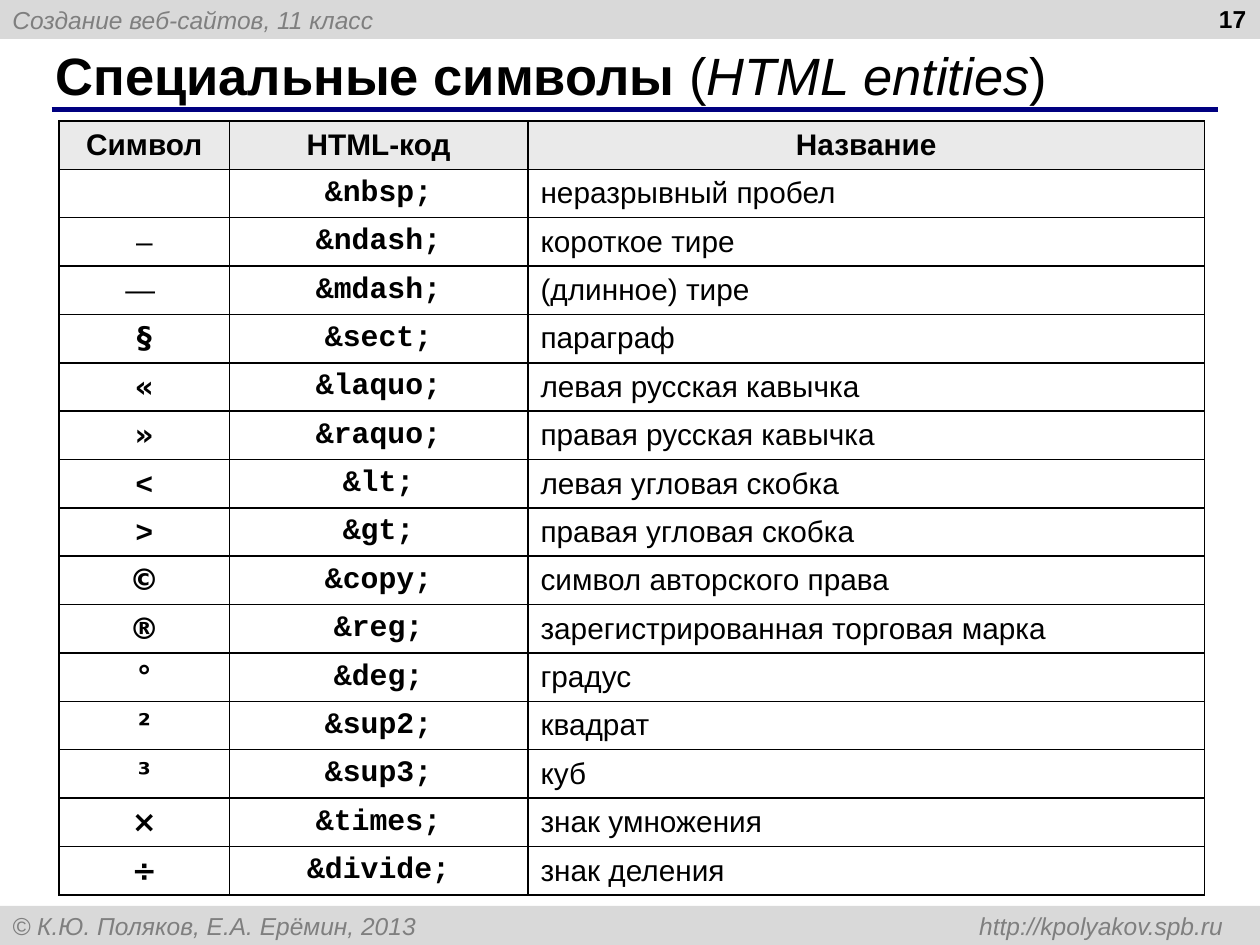
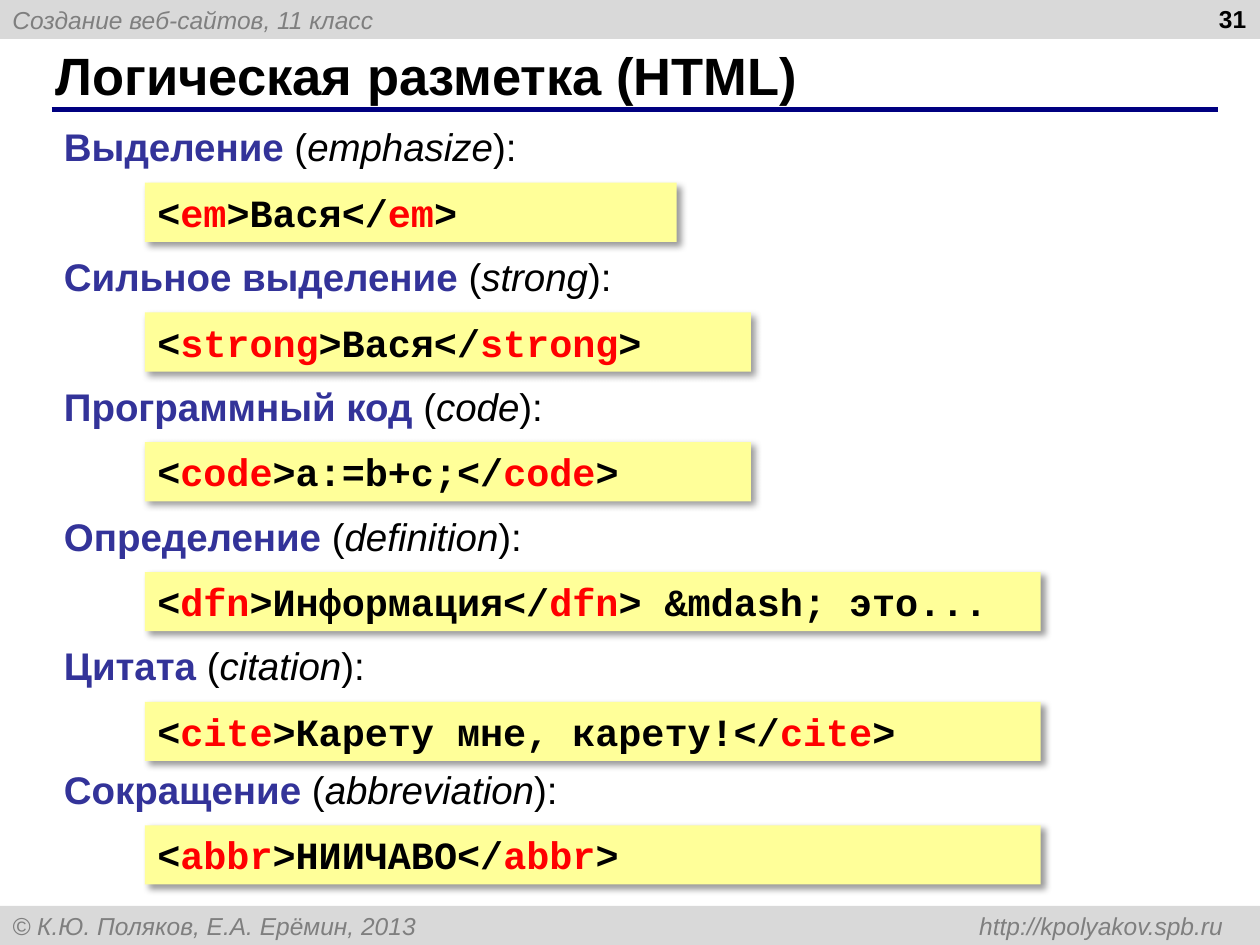
from lxml.etree import SubElement
from pptx import Presentation
from pptx.dml.color import RGBColor
from pptx.enum.shapes import MSO_CONNECTOR, MSO_SHAPE
from pptx.enum.text import MSO_ANCHOR, MSO_AUTO_SIZE, PP_ALIGN
from pptx.oxml import parse_xml
from pptx.oxml.ns import nsdecls, qn
from pptx.util import Inches, Pt

BLACK = RGBColor(0x00, 0x00, 0x00)
NAVY = RGBColor(0x00, 0x00, 0x80)
TERM_BLUE = RGBColor(0x33, 0x33, 0x99)
TAG_RED = RGBColor(0xFF, 0x00, 0x00)
BAND_GRAY = RGBColor(0xD9, 0xD9, 0xD9)
BAND_TEXT = RGBColor(0x7F, 0x7F, 0x7F)
HEADER_GRAY = RGBColor(0xEA, 0xEA, 0xEA)
CODE_YELLOW = RGBColor(0xFF, 0xFF, 0x99)

SANS = "Arial"
MONO = "Courier New"
SYMBOL = "DejaVu Sans"

TITLE_ONLY_LAYOUT = 5
BAND_HEIGHT = 0.31
TABLE_TEXT_SIZE = 17
MARKUP_TEXT_SIZE = 22
ITEM_TOP, ITEM_PITCH, LAST_ITEM_TOP = 0.93, 1.03, 6.03

COLUMN_WIDTHS = (1.35, 2.37, 5.37)
COLUMN_NAMES = ("Символ", "HTML-код", "Название")
ENTITIES = (
    ("", "nbsp", "неразрывный пробел"),
    ("–", "ndash", "короткое тире"),
    ("— ", "mdash", "(длинное) тире"),
    ("§", "sect", "параграф"),
    ("«", "laquo", "левая русская кавычка"),
    ("»", "raquo", "правая русская кавычка"),
    ("<", "lt", "левая угловая скобка"),
    (">", "gt", "правая угловая скобка"),
    ("©", "copy", "символ авторского права"),
    ("®", "reg", "зарегистрированная торговая марка"),
    ("°", "deg", "градус"),
    ("²", "sup2", "квадрат"),
    ("³", "sup3", "куб"),
    ("×", "times", "знак умножения"),
    ("÷", "divide", "знак деления"),
)

# term, English name, tag, tagged text, text after the tag, box width
MARKUP_ITEMS = (
    ("Выделение", "emphasize", "em", "Вася", "", 4.22),
    ("Сильное выделение", "strong", "strong", "Вася", "", 4.81),
    ("Программный код", "code", "code", "a:=b+c;", "", 4.81),
    ("Определение", "definition", "dfn", "Информация", " &mdash; это...", 7.11),
    ("Цитата", "citation", "cite", "Карету мне, карету!", "", 7.11),
    ("Сокращение", "abbreviation", "abbr", "НИИЧАВО", "", 7.11),
)


def write_text(paragraph, text, *, size, font=SANS, color=BLACK, bold=False, italic=False):
    """Append one formatted run to the paragraph."""
    run = paragraph.add_run()
    run.text = text
    run.font.name = font
    run.font.size = Pt(size)
    run.font.color.rgb = color
    run.font.bold = bold
    run.font.italic = italic


def place(shape, left, top, width, height):
    shape.left, shape.top = Inches(left), Inches(top)
    shape.width, shape.height = Inches(width), Inches(height)


def add_text_box(slide, left, top, width, height, align=PP_ALIGN.LEFT):
    """Add an empty text box and return its paragraph."""
    box = slide.shapes.add_textbox(Inches(left), Inches(top), Inches(width), Inches(height))
    box.text_frame.word_wrap = True
    paragraph = box.text_frame.paragraphs[0]
    paragraph.alignment = align
    return paragraph


def add_rectangle(slide, left, top, width, height, fill, anchor):
    shape = slide.shapes.add_shape(
        MSO_SHAPE.RECTANGLE, Inches(left), Inches(top), Inches(width), Inches(height))
    shape.shadow.inherit = False
    shape.fill.solid()
    shape.fill.fore_color.rgb = fill
    shape.line.fill.background()
    shape.text_frame.vertical_anchor = anchor
    shape.text_frame.paragraphs[0].alignment = PP_ALIGN.LEFT
    return shape


def add_band(slide, top, text):
    band = add_rectangle(slide, 0, top, 10, BAND_HEIGHT, BAND_GRAY, MSO_ANCHOR.MIDDLE)
    paragraph = band.text_frame.paragraphs[0]
    tabs = SubElement(paragraph._p.get_or_add_pPr(), qn("a:tabLst"))
    SubElement(tabs, qn("a:tab"), pos=str(Inches(9.61)), algn="r")
    write_text(paragraph, text, size=14, color=BAND_TEXT, italic=True)


def add_title_rule(slide):
    rule = slide.shapes.add_connector(
        MSO_CONNECTOR.STRAIGHT, Inches(0.41), Inches(0.87), Inches(9.67), Inches(0.87))
    rule.line.color.rgb = NAVY
    rule.line.width = Pt(3)
    SubElement(rule._element.spPr, qn("a:effectLst"))


def add_slide(presentation, number, title_runs):
    """Add a slide with bands, rule, number and a title of (text, format) runs."""
    slide = presentation.slides.add_slide(presentation.slide_layouts[TITLE_ONLY_LAYOUT])
    add_band(slide, 0, "Создание веб-сайтов, 11 класс")
    add_band(slide, 7.5 - BAND_HEIGHT,
             "© К.Ю. Поляков, Е.А. Ерёмин, 2013 \thttp://kpolyakov.spb.ru")
    add_title_rule(slide)

    title = slide.shapes.title
    place(title, 0.34, 0.33, 9.16, 0.52)
    title.text_frame.auto_size = MSO_AUTO_SIZE.NONE
    title.text_frame.vertical_anchor = MSO_ANCHOR.MIDDLE
    paragraph = title.text_frame.paragraphs[0]
    paragraph.alignment = PP_ALIGN.LEFT
    for text, style in title_runs:
        write_text(paragraph, text, size=30, **style)

    number_paragraph = add_text_box(slide, 7.66, -0.02, 2.33, 0.52, PP_ALIGN.RIGHT)
    write_text(number_paragraph, str(number), size=14, bold=True)
    return slide


def set_borders(cell):
    properties = cell._tc.get_or_add_tcPr()
    for side in ("lnL", "lnR", "lnT", "lnB"):
        properties.append(parse_xml(
            f'<a:{side} {nsdecls("a")} w="{Pt(1)}"><a:solidFill>'
            f'<a:srgbClr val="{BLACK}"/></a:solidFill></a:{side}>'))


def fill_cell(cell, text, align=PP_ALIGN.CENTER, fill=None, **style):
    set_borders(cell)
    if fill is None:
        cell.fill.background()
    else:
        cell.fill.solid()
        cell.fill.fore_color.rgb = fill
    cell.vertical_anchor = MSO_ANCHOR.MIDDLE
    paragraph = cell.text_frame.paragraphs[0]
    paragraph.alignment = align
    if text:
        write_text(paragraph, text, size=TABLE_TEXT_SIZE, **style)
    else:
        # An empty cell still takes its minimum height from the text size
        paragraph._p.get_or_add_endParaRPr().set("sz", str(TABLE_TEXT_SIZE * 100))


def symbol_style(symbol):
    if symbol.strip() in ("–", "—"):
        return {}
    return {"bold": True, "font": SANS if symbol in "<>" else SYMBOL}


def add_entity_table(slide):
    row_count = len(ENTITIES) + 1
    frame = slide.shapes.add_table(
        row_count, len(COLUMN_WIDTHS),
        Inches(0.47), Inches(0.96), Inches(sum(COLUMN_WIDTHS)), Inches(6.13))
    table = frame.table
    table.first_row = table.horz_banding = False
    for column, width in zip(table.columns, COLUMN_WIDTHS):
        column.width = Inches(width)
    for column, name in enumerate(COLUMN_NAMES):
        fill_cell(table.cell(0, column), name, fill=HEADER_GRAY, bold=True)
    for row, (symbol, entity, name) in enumerate(ENTITIES, start=1):
        fill_cell(table.cell(row, 0), symbol, **symbol_style(symbol))
        fill_cell(table.cell(row, 1), f"&{entity};", font=MONO, bold=True)
        fill_cell(table.cell(row, 2), name, align=PP_ALIGN.LEFT)


def add_term(slide, top, term, english):
    paragraph = add_text_box(slide, 0.41, top, 4.8, 0.47)
    write_text(paragraph, term, size=MARKUP_TEXT_SIZE, color=TERM_BLUE, bold=True)
    write_text(paragraph, " (", size=MARKUP_TEXT_SIZE)
    write_text(paragraph, english, size=MARKUP_TEXT_SIZE, italic=True)
    write_text(paragraph, "):", size=MARKUP_TEXT_SIZE)


def add_soft_shadow(shape):
    effects = shape._element.spPr.find(qn("a:effectLst"))
    shadow = SubElement(effects, qn("a:outerShdw"), blurRad=str(Pt(4)), dist=str(Pt(3)),
                        dir=str(45 * 60000), algn="tl", rotWithShape="0")
    color = SubElement(shadow, qn("a:srgbClr"), val=str(BLACK))
    SubElement(color, qn("a:alpha"), val="40000")


def add_code_box(slide, top, width, tag, content, tail):
    box = add_rectangle(slide, 1.15, top, width, 0.47, CODE_YELLOW, MSO_ANCHOR.TOP)
    add_soft_shadow(box)
    paragraph = box.text_frame.paragraphs[0]
    pieces = (("<", BLACK), (tag, TAG_RED), (f">{content}</", BLACK),
              (tag, TAG_RED), (f">{tail}", BLACK))
    for text, color in pieces:
        write_text(paragraph, text, size=MARKUP_TEXT_SIZE, font=MONO, color=color, bold=True)


def main():
    presentation = Presentation()
    presentation.slide_width, presentation.slide_height = Inches(10), Inches(7.5)

    entities_slide = add_slide(presentation, 17, (
        ("Специальные символы ", {"bold": True}),
        ("(", {}),
        ("HTML entities", {"italic": True}),
        (")", {}),
    ))
    add_entity_table(entities_slide)

    markup_slide = add_slide(presentation, 31, (
        ("Логическая разметка (HTML)", {"bold": True}),
    ))
    for index, (term, english, tag, content, tail, width) in enumerate(MARKUP_ITEMS):
        top = min(ITEM_TOP + index * ITEM_PITCH, LAST_ITEM_TOP)
        add_term(markup_slide, top, term, english)
        add_code_box(markup_slide, top + 0.52, width, tag, content, tail)

    presentation.save("out.pptx")


if __name__ == "__main__":
    main()
